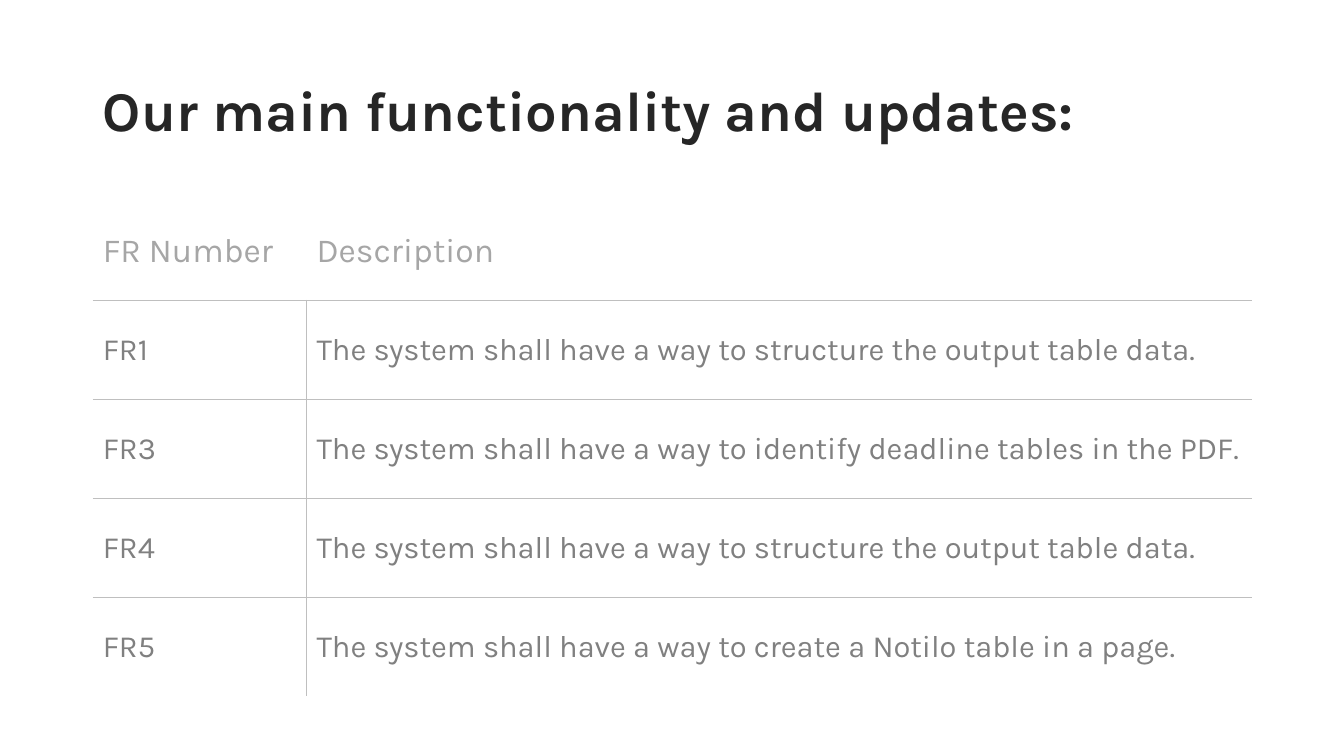
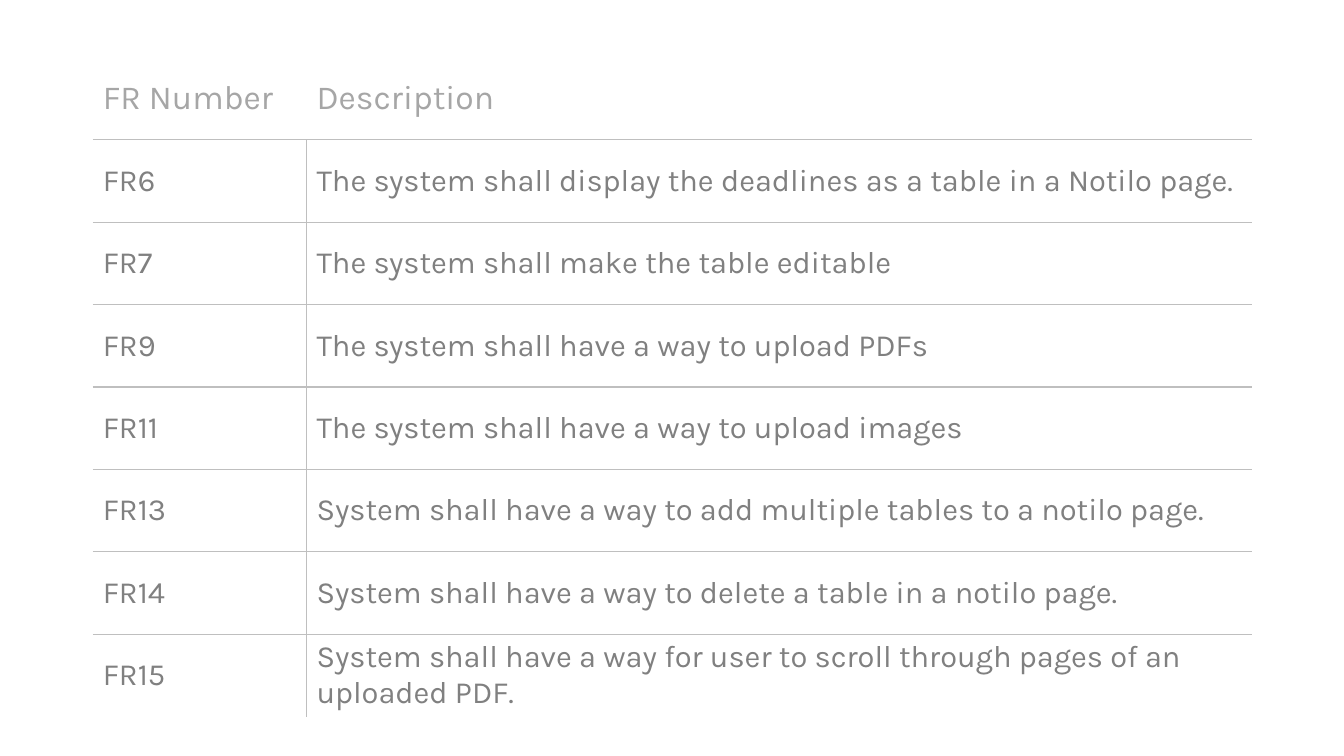
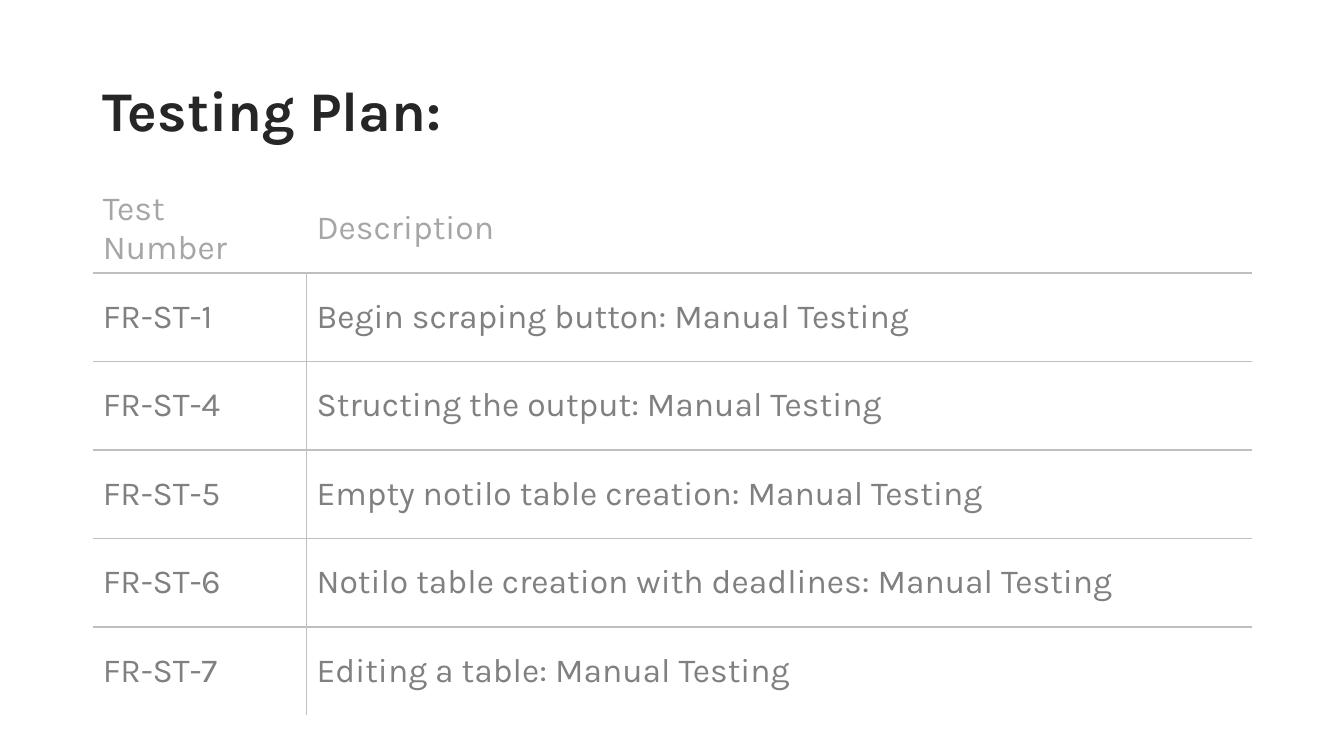
from dataclasses import dataclass

from lxml.etree import SubElement
from pptx import Presentation
from pptx.dml.color import RGBColor
from pptx.enum.text import MSO_ANCHOR, MSO_AUTO_SIZE, PP_ALIGN
from pptx.oxml.ns import qn
from pptx.slide import Slide
from pptx.table import _Cell
from pptx.text.text import _Paragraph
from pptx.util import Inches, Pt

COLORS = {"title": "262626", "header": "A6A6A6", "body": "808080", "rule": "BFBFBF"}
FONT = "Karla"
HEADER_SIZE = 24
LEFT, WIDTH = 0.92, 11.5
COLUMN_WIDTHS = (2.12, 9.38)
TITLE_ONLY, BLANK = 5, 6


@dataclass(frozen=True)
class TablePage:
    title: str
    top: float
    height: float
    body_size: int
    rows: tuple[tuple[str, str], ...]


PAGES = (
    TablePage("Our main functionality and updates:", 2, 4.91, 22, (
        ("FR Number", "Description"),
        ("FR1", "The system shall have a way to structure the output table data."),
        ("FR3", "The system shall have a way to identify deadline tables in the PDF."),
        ("FR4", "The system shall have a way to structure the output table data."),
        ("FR5", "The system shall have a way to create a Notilo table in a page."),
    )),
    TablePage("", 0.57, 6.54, 22, (
        ("FR Number", "Description"),
        ("FR6", "The system shall display the deadlines as a table in a Notilo page."),
        ("FR7", "The system shall make the table editable"),
        ("FR9", "The system shall have a way to upload PDFs"),
        ("FR11", "The system shall have a way to upload images"),
        ("FR13", "System shall have a way to add multiple tables to a notilo page."),
        ("FR14", "System shall have a way to delete a table in a notilo page."),
        ("FR15", "System shall have a way for user to scroll through pages of an "
                 "uploaded PDF."),
    )),
    TablePage("Testing Plan:", 1.83, 5.27, 24, (
        ("Test Number", "Description"),
        ("FR-ST-1", "Begin scraping button: Manual Testing"),
        ("FR-ST-4", "Structing the output: Manual Testing"),
        ("FR-ST-5", "Empty notilo table creation: Manual Testing"),
        ("FR-ST-6", "Notilo table creation with deadlines: Manual Testing"),
        ("FR-ST-7", "Editing a table: Manual Testing"),
    )),
)


def style_text(para: _Paragraph, size: int, color: str, bold: bool = False) -> None:
    para.font.name = FONT
    para.font.size = Pt(size)
    para.font.bold = bold
    para.font.color.rgb = RGBColor.from_string(COLORS[color])


def set_borders(cell: _Cell, visible: dict[str, bool]) -> None:
    """Rule the visible sides (L, R, T, B) and clear the others."""
    properties = cell._tc.get_or_add_tcPr()
    for side, shown in visible.items():
        line = SubElement(properties, qn(f"a:ln{side}"), w=str(Pt(1)))
        if shown:
            fill = SubElement(line, qn("a:solidFill"))
            SubElement(fill, qn("a:srgbClr"), val=COLORS["rule"])
        else:
            SubElement(line, qn("a:noFill"))


def add_title(page: Slide, text: str) -> None:
    title = page.shapes.title
    title.left, title.top = Inches(LEFT), Inches(0.4)
    title.width, title.height = Inches(WIDTH), Inches(1.45)
    frame = title.text_frame
    frame.text = text
    frame.auto_size = MSO_AUTO_SIZE.NONE
    frame.vertical_anchor = MSO_ANCHOR.MIDDLE
    para = frame.paragraphs[0]
    para.alignment = PP_ALIGN.LEFT
    para.line_spacing = 0.9
    style_text(para, 40, "title", bold=True)


def add_ruled_table(page: Slide, content: TablePage) -> None:
    count = len(content.rows)
    table = page.shapes.add_table(
        count, len(COLUMN_WIDTHS), Inches(LEFT), Inches(content.top),
        Inches(WIDTH), Inches(content.height)).table
    table.first_row = table.horz_banding = False
    for column, width in zip(table.columns, COLUMN_WIDTHS):
        column.width = Inches(width)
    for row_index, texts in enumerate(content.rows):
        is_header = row_index == 0
        for column_index, text in enumerate(texts):
            cell = table.cell(row_index, column_index)
            cell.text = text
            cell.vertical_anchor = MSO_ANCHOR.MIDDLE
            style_text(cell.text_frame.paragraphs[0],
                       HEADER_SIZE if is_header else content.body_size,
                       "header" if is_header else "body")
            set_borders(cell, {
                "L": not is_header and column_index > 0,
                "R": not is_header and column_index == 0,
                "T": not is_header,
                "B": row_index < count - 1,
            })
            cell.fill.background()


def main() -> None:
    deck = Presentation()
    deck.slide_width, deck.slide_height = Inches(13.33), Inches(7.5)
    for content in PAGES:
        layout = deck.slide_layouts[TITLE_ONLY if content.title else BLANK]
        page = deck.slides.add_slide(layout)
        if content.title:
            add_title(page, content.title)
        add_ruled_table(page, content)
    deck.save("out.pptx")


if __name__ == "__main__":
    main()
